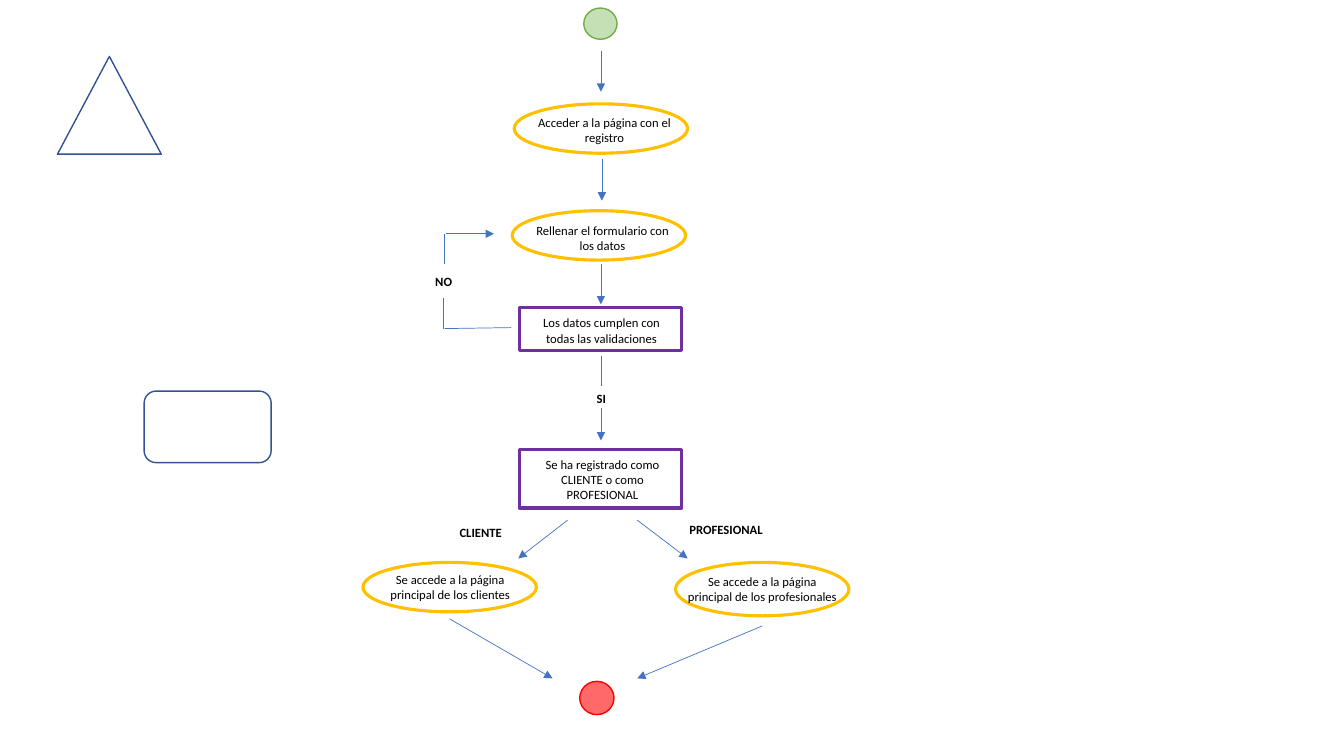
from pptx import Presentation
from pptx.dml.color import RGBColor
from pptx.enum.shapes import MSO_CONNECTOR, MSO_SHAPE
from pptx.enum.text import PP_ALIGN
from pptx.util import Inches, Pt
from lxml import etree

BLACK = RGBColor(0x00, 0x00, 0x00)
BLUE = RGBColor(0x44, 0x72, 0xC4)
DARK_BLUE = RGBColor(0x32, 0x54, 0x91)
GOLD = RGBColor(0xFF, 0xC0, 0x00)
PURPLE = RGBColor(0x70, 0x30, 0xA0)
GREEN = RGBColor(0x70, 0xAD, 0x47)
LIGHT_GREEN = RGBColor(0xC5, 0xE0, 0xB4)
RED = RGBColor(0xFF, 0x00, 0x00)
LIGHT_RED = RGBColor(0xFF, 0x69, 0x69)
DRAWING_NS = "{http://schemas.openxmlformats.org/drawingml/2006/main}"

prs = Presentation()
prs.slide_width = Inches(13.33)
prs.slide_height = Inches(7.5)
slide = prs.slides.add_slide(prs.slide_layouts[6])


def add_text(text, left, top, width, height, bold=False, align=PP_ALIGN.CENTER):
    label = slide.shapes.add_textbox(Inches(left), Inches(top), Inches(width), Inches(height))
    label.text_frame.word_wrap = True
    paragraph = label.text_frame.paragraphs[0]
    paragraph.alignment = align
    run = paragraph.add_run()
    run.text = text
    run.font.name = "Calibri"
    run.font.size = Pt(9)
    run.font.bold = bold
    run.font.color.rgb = BLACK


nodes = [
    (MSO_SHAPE.ROUNDED_RECTANGLE, 1.43, 3.88, 1.26, 0.71, DARK_BLUE, 1, None),
    (MSO_SHAPE.ISOSCELES_TRIANGLE, 0.57, 0.56, 1.03, 0.97, DARK_BLUE, 1, None),
    (MSO_SHAPE.OVAL, 5.79, 0.08, 0.33, 0.31, GREEN, 1, LIGHT_GREEN),
    (MSO_SHAPE.OVAL, 5.75, 6.76, 0.34, 0.33, RED, 1, LIGHT_RED),
    (MSO_SHAPE.OVAL, 5.1, 1.03, 1.72, 0.49, GOLD, 2.25, None),
    (MSO_SHAPE.OVAL, 5.08, 2.09, 1.72, 0.49, GOLD, 2.25, None),
    (MSO_SHAPE.RECTANGLE, 5.15, 3.05, 1.61, 0.43, PURPLE, 2.25, None),
    (MSO_SHAPE.RECTANGLE, 5.15, 4.46, 1.61, 0.58, PURPLE, 2.25, None),
    (MSO_SHAPE.OVAL, 3.6, 5.58, 1.72, 0.49, GOLD, 2.25, None),
    (MSO_SHAPE.OVAL, 6.7, 5.58, 1.72, 0.53, GOLD, 2.25, None),
]
for outline, left, top, width, height, line_color, line_width, fill_color in nodes:
    node = slide.shapes.add_shape(outline, Inches(left), Inches(top), Inches(width), Inches(height))
    node.shadow.inherit = False
    node.line.color.rgb = line_color
    node.line.width = Pt(line_width)
    if fill_color is None:
        node.fill.background()
    else:
        node.fill.solid()
        node.fill.fore_color.rgb = fill_color

flows = [
    (5.96, 0.51, 5.96, 0.91, True),
    (5.97, 1.58, 5.97, 1.99, True),
    (5.96, 2.62, 5.96, 3.02, True),
    (5.07, 3.25, 4.41, 3.26, False),
    (4.4, 3.26, 4.4, 2.96, False),
    (4.41, 2.62, 4.41, 2.32, False),
    (4.42, 2.32, 4.9, 2.32, True),
    (5.96, 3.53, 5.96, 3.83, False),
    (5.96, 4.05, 5.96, 4.37, True),
    (5.63, 5.16, 5.14, 5.54, True),
    (6.32, 5.16, 6.82, 5.54, True),
    (4.46, 6.14, 5.48, 6.73, True),
    (7.56, 6.21, 6.32, 6.73, True),
]
for start_x, start_y, end_x, end_y, has_arrow in flows:
    flow = slide.shapes.add_connector(
        MSO_CONNECTOR.STRAIGHT, Inches(start_x), Inches(start_y), Inches(end_x), Inches(end_y))
    flow.line.color.rgb = BLUE
    flow.line.width = Pt(0.5)
    if has_arrow:
        etree.SubElement(flow.line._get_or_add_ln(), DRAWING_NS + "tailEnd", type="triangle")
    etree.SubElement(flow._element.spPr, DRAWING_NS + "effectLst")

steps = [
    ("Acceder a la página con el registro", 5.19, 1.09, 1.61, 0.4),
    ("Rellenar el formulario con los datos", 5.17, 2.16, 1.61, 0.4),
    ("Los datos cumplen con todas las validaciones", 5.16, 3.08, 1.61, 0.4),
    ("Se ha registrado como CLIENTE o como PROFESIONAL", 5.22, 4.48, 1.51, 0.56),
    ("Se accede a la página principal de los clientes", 3.66, 5.62, 1.61, 0.4),
    ("Se accede a la página principal de los profesionales", 6.7, 5.64, 1.72, 0.4),
]
for text, left, top, width, height in steps:
    add_text(text, left, top, width, height)

branches = [
    ("NO", 4.06, 2.67, 0.68, PP_ALIGN.CENTER),
    ("SI", 5.16, 3.83, 1.61, PP_ALIGN.CENTER),
    ("CLIENTE", 4.46, 5.16, 0.86, PP_ALIGN.LEFT),
    ("PROFESIONAL", 6.74, 5.13, 1.23, PP_ALIGN.LEFT),
]
for text, left, top, width, align in branches:
    add_text(text, left, top, width, 0.25, bold=True, align=align)

prs.save("out.pptx")
